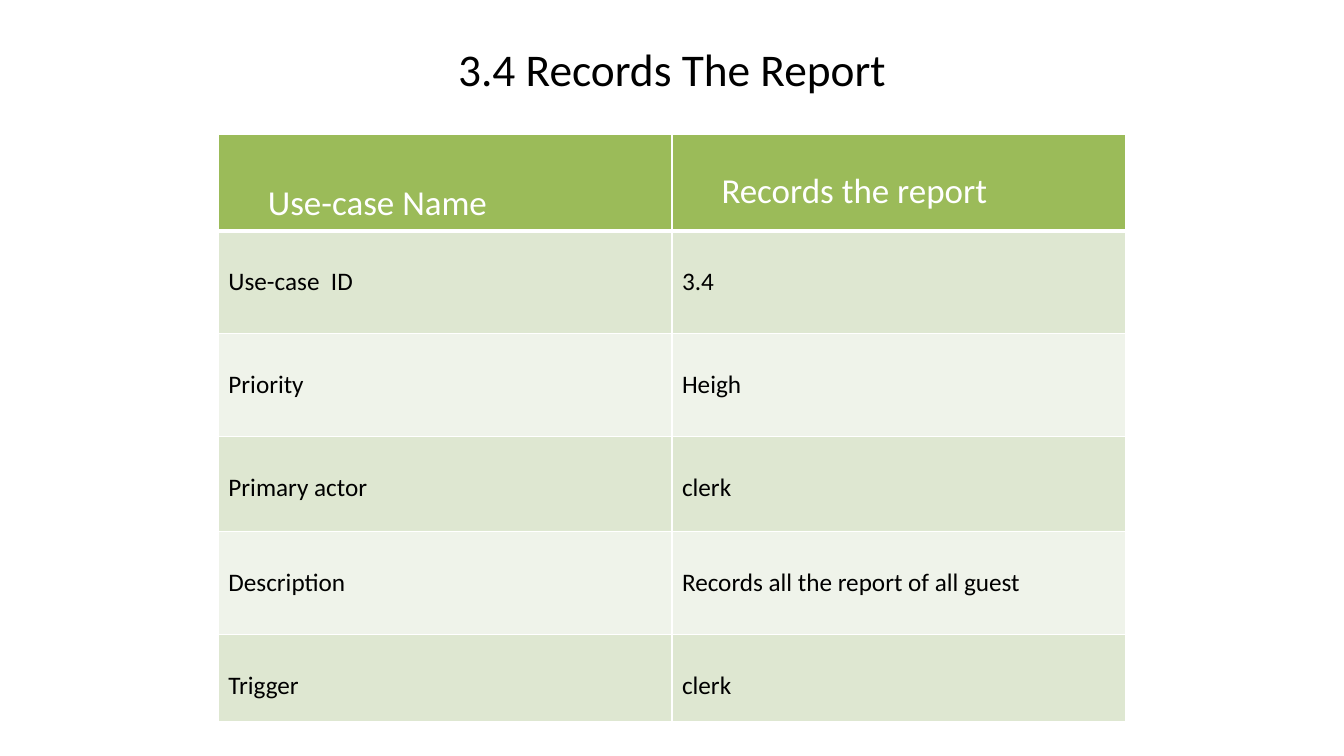
from pptx import Presentation
from pptx.util import Pt
from pptx.dml.color import RGBColor as RGB
from pptx.enum.text import MSO_ANCHOR as Anchor, PP_ALIGN as Align
from pptx.oxml import parse_xml
from pptx.oxml.ns import nsdecls

WHITE = RGB(0xFF, 0xFF, 0xFF)
BLACK = RGB(0, 0, 0)
GREEN = RGB(0x9B, 0xBB, 0x59)
BANDS = [RGB(0xDE, 0xE7, 0xD1), RGB(0xEF, 0xF3, 0xEA)]


class Deck:
    font = "Calibri"

    def __init__(self):
        self.prs = Presentation()
        self.prs.slide_width, self.prs.slide_height = Pt(960), Pt(540)
        self.slide = self.prs.slides.add_slide(self.prs.slide_layouts[5])

    def label(self, frame, text, size, color):
        run = frame.paragraphs[0].add_run()
        run.text = text
        font = run.font
        font.name, font.size, font.bold = self.font, Pt(size), False
        font.color.rgb = color

    def title(self, text, left, top, width, height):
        box = self.slide.shapes.title
        box.left, box.top = Pt(left), Pt(top)
        box.width, box.height = Pt(width), Pt(height)
        frame = box.text_frame
        frame.word_wrap = True
        frame.vertical_anchor = Anchor.MIDDLE
        frame.margin_top, frame.margin_bottom = Pt(5), Pt(40)
        frame.paragraphs[0].alignment = Align.CENTER
        self.label(frame, text, 32.4, BLACK)

    def edge(self, cell, side, width):
        cell._tc.get_or_add_tcPr().append(parse_xml(
            f'<a:ln{side} {nsdecls("a")} w="{Pt(width)}"><a:solidFill>'
            f'<a:srgbClr val="{WHITE}"/></a:solidFill></a:ln{side}>'))

    def cell(self, cell, text, size, color, fill, left, top, base=1):
        for side, width in zip("LRTB", (1, 1, 1, base)):
            self.edge(cell, side, width)
        cell.fill.solid()
        cell.fill.fore_color.rgb = fill
        cell.margin_left, cell.margin_top = Pt(left), Pt(top)
        self.label(cell.text_frame, text, size, color)

    def table(self, head, rows, left, top, width, heights):
        grid = self.slide.shapes.add_table(
            len(rows) + 1, len(head), Pt(left), Pt(top),
            Pt(width), Pt(sum(heights))).table
        for row, height in zip(grid.rows, heights):
            row.height = Pt(height)
        for col, (text, drop) in enumerate(head):
            self.cell(grid.cell(0, col), text, 25, WHITE, GREEN, 35.4, drop, 3)
        for num, row in enumerate(rows):
            for col, text in enumerate(row):
                self.cell(grid.cell(num + 1, col), text, 18, BLACK,
                          BANDS[num % 2], 7.2, 25.6)

    def save(self):
        self.prs.save("out.pptx")


def main():
    deck = Deck()
    deck.title("3.4 Records The Report", 48, 21.6, 864, 90)
    head = [("Use-case Name", 34.1), ("Records the report", 25.6)]
    rows = [
        ("Use-case  ID", "3.4"),
        ("Priority", "Heigh"),
        ("Primary actor", "clerk"),
        ("Description", "Records all the report of all guest"),
        ("Trigger", "clerk"),
    ]
    deck.table(head, rows, 156, 96, 648, [69, 73.5, 73.5, 68, 73.5, 62])
    deck.save()


if __name__ == "__main__":
    main()
